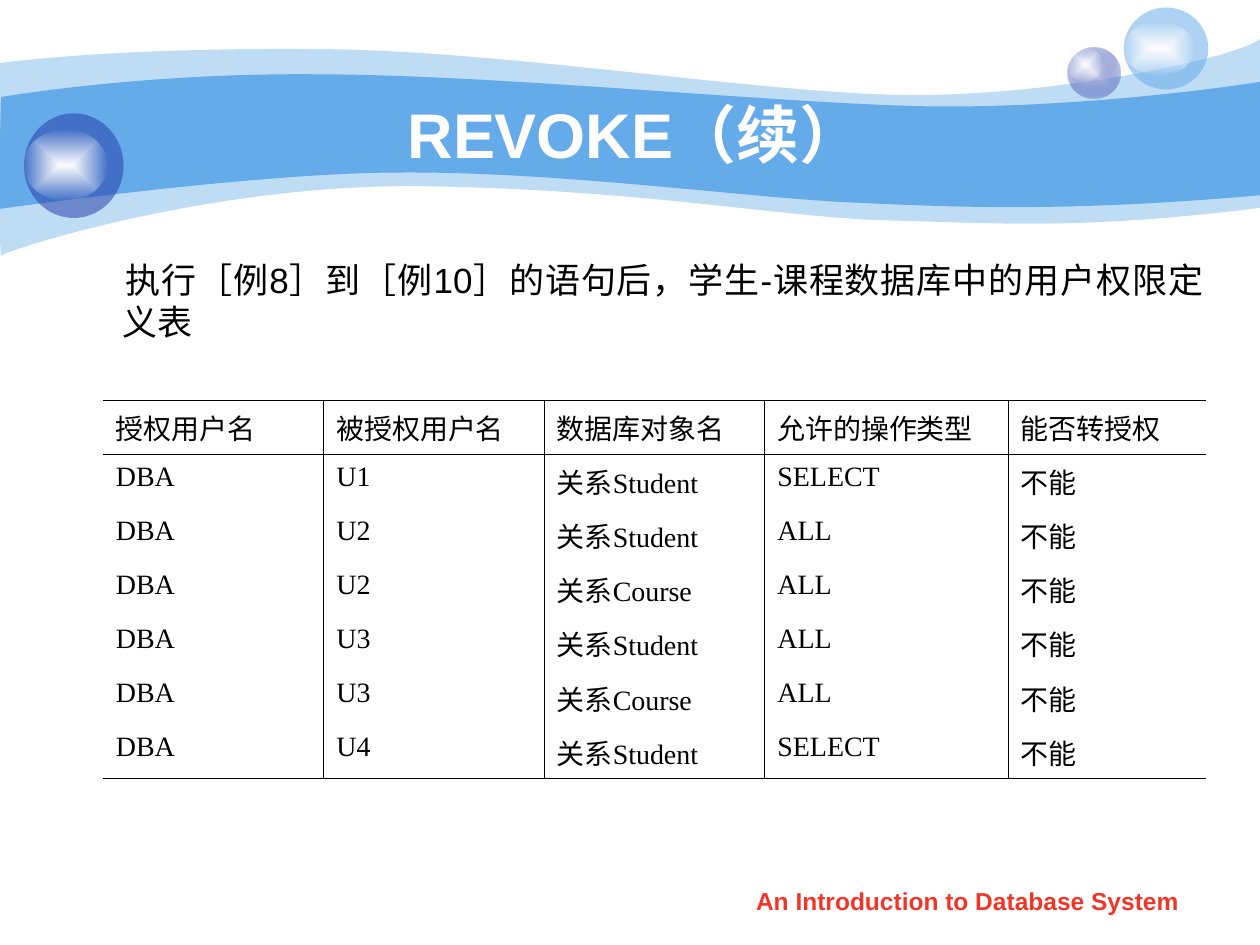
from lxml.etree import SubElement
from pptx import Presentation
from pptx.dml.color import RGBColor
from pptx.enum.shapes import MSO_SHAPE
from pptx.enum.text import MSO_ANCHOR, MSO_AUTO_SIZE, PP_ALIGN
from pptx.oxml.ns import qn
from pptx.util import Pt

EMU_PER_PX = 9144  # 100 px to the inch
COLORS = {
    "sky": "65AAE9", "navy": "233DA9", "lavender": "C7CEE9",
    "white": "FFFFFF", "black": "000000", "red": "F03628",
}

# Each wave: start point, then segments of three Bezier points or one line end.
PALE_WAVE = [
    (0, 50),
    [(24, 47), (107, 38), (247, 39)], [(386, 39), (575, 70), (699, 75)],
    [(822, 80), (980, 47), (1000, 31)], [(1000, 165)],
    [(858, 183), (787, 177), (705, 175)], [(622, 173), (515, 151), (343, 148)],
    [(172, 144), (4, 199), (1, 203)], [(-1, 208), (0, 75), (0, 50)],
]
BLUE_WAVE = [
    (1, 77),
    [(2, 77), (110, 58), (248, 59)], [(386, 59), (595, 80), (718, 84)],
    [(841, 88), (976, 69), (1000, 65)], [(1000, 155)],
    [(853, 168), (765, 165), (682, 161)], [(599, 158), (447, 136), (317, 137)],
    [(203, 137), (-2, 166), (-1, 166)], [(0, 166), (0, 77), (1, 77)],
]
# Each orb: body box, highlight box, body gradient stops (colour, opacity %).
ORBS = [
    ((847, 38, 42, 40), (847, 38, 28, 27), [("lavender", 100), ("navy", 31)]),
    ((892, 6, 67, 65), (892, 17, 56, 43), [("sky", 53)]),
    ((19, 90, 79, 83), (19, 103, 66, 56), [("navy", 53)]),
]
HIGHLIGHT = [("white", 100), ("white", 0)]

COLUMN_WIDTHS = [175, 175, 175, 193, 157]
ROW_HEIGHTS = [43] * 6 + [39]
HEADINGS = ["授权用户名", "被授权用户名", "数据库对象名", "允许的操作类型", "能否转授权"]
GRANTS = [
    ("U1", "Student", "SELECT"), ("U2", "Student", "ALL"),
    ("U2", "Course", "ALL"), ("U3", "Student", "ALL"),
    ("U3", "Course", "ALL"), ("U4", "Student", "SELECT"),
]


def px(*lengths):
    return [round(length * EMU_PER_PX) for length in lengths]


def rgb(name):
    return RGBColor.from_string(COLORS[name])


def add_color(parent, name, opacity=100):
    color = SubElement(parent, qn("a:srgbClr"), val=COLORS[name])
    if opacity < 100:
        SubElement(color, qn("a:alpha"), val=str(opacity * 1000))


def paint(shape, stops):
    """Fill with one colour, or with a gradient that runs from the centre out."""
    shape.shadow.inherit = False
    shape.line.fill.background()
    shape.fill.background()
    parent = shape.element.spPr
    old_fill = parent.find(qn("a:noFill"))
    if len(stops) == 1:
        fill = SubElement(parent, qn("a:solidFill"))
        add_color(fill, *stops[0])
    else:
        fill = SubElement(parent, qn("a:gradFill"), rotWithShape="1")
        stop_list = SubElement(fill, qn("a:gsLst"))
        for place, stop in zip(("0", "100000"), stops):
            add_color(SubElement(stop_list, qn("a:gs"), pos=place), *stop)
        path_fill = SubElement(fill, qn("a:path"), path="rect")
        SubElement(path_fill, qn("a:fillToRect"),
                   l="50000", t="50000", r="50000", b="50000")
    parent.replace(old_fill, fill)


def bend_segments(shape, segments):
    """Turn each run of three lines into the Bezier with the same points."""
    lines = iter(list(shape.element.iter(qn("a:lnTo"))))
    for segment in segments:
        segment_lines = [next(lines) for _ in segment]
        if len(segment) == 3:
            outline = segment_lines[0].getparent()
            curve = SubElement(outline, qn("a:cubicBezTo"))
            segment_lines[0].addprevious(curve)
            for line in segment_lines:
                curve.append(line[0])
                outline.remove(line)


def add_wave(slide, left, top, outline, opacity):
    (start_x, start_y), *segments = outline
    builder = slide.shapes.build_freeform(*px(left + start_x, top + start_y))
    builder.add_line_segments(
        [px(left + x, top + y) for segment in segments for x, y in segment])
    wave = builder.convert_to_shape()
    bend_segments(wave, segments)
    paint(wave, [("sky", opacity)])


def add_banner(slide, left, top):
    add_wave(slide, left, top, PALE_WAVE, 41)
    add_wave(slide, left, top, BLUE_WAVE, 100)
    for body_box, highlight_box, body_stops in ORBS:
        group = slide.shapes.add_group_shape()
        for (x, y, width, height), stops in (
                (body_box, body_stops), (highlight_box, HIGHLIGHT)):
            oval = group.shapes.add_shape(
                MSO_SHAPE.OVAL, *px(left + x, top + y, width, height))
            paint(oval, stops)


def write(text_frame, text, size, color, alignment=None, bold=False, font="Arial"):
    text_frame.text = text
    paragraph = text_frame.paragraphs[0]
    paragraph.alignment = alignment
    paragraph.font.name = font
    paragraph.font.size = Pt(size)
    paragraph.font.bold = bold
    paragraph.font.color.rgb = rgb(color)
    return paragraph


def set_indent(paragraph, margin, first_line):
    properties = paragraph._p.get_or_add_pPr()
    properties.set("marL", str(Pt(margin)))
    properties.set("indent", str(Pt(first_line)))
    return properties


def place_placeholder(slide, shape, left, top, width, height):
    slide.shapes.element.append(shape.element)  # in front of the banner
    shape.left, shape.top, shape.width, shape.height = px(left, top, width, height)
    shape.text_frame.word_wrap = True
    shape.text_frame.auto_size = MSO_AUTO_SIZE.NONE


def add_footer(slide, left, top, width, height):
    footer = slide.shapes.add_textbox(*px(left, top, width, height))
    footer.text_frame.word_wrap = True
    write(footer.text_frame, "An Introduction to Database System", 14, "red",
          PP_ALIGN.CENTER, bold=True)


def fill_title(slide, *box):
    title = slide.shapes.title
    place_placeholder(slide, title, *box)
    title.text_frame.vertical_anchor = MSO_ANCHOR.MIDDLE
    write(title.text_frame, "REVOKE（续）", 36, "white", PP_ALIGN.CENTER, bold=True)


def fill_body(slide, *box):
    body = slide.placeholders[1]
    place_placeholder(slide, body, *box)
    paragraph = write(
        body.text_frame,
        "执行［例8］到［例10］的语句后，学生-课程数据库中的用户权限定义表",
        20, "black", PP_ALIGN.JUSTIFY)
    paragraph.space_before = Pt(9)
    SubElement(set_indent(paragraph, 27, 1.5), qn("a:buNone"))


def set_borders(cell, visible):
    properties = cell._tc.get_or_add_tcPr()
    for side in "LRTB":
        line = SubElement(properties, qn(f"a:ln{side}"), w=str(Pt(0.45)))
        if side in visible:
            add_color(SubElement(line, qn("a:solidFill")), "black")
        else:
            SubElement(line, qn("a:noFill"))


def add_grant_table(slide, left, top):
    rows = [HEADINGS] + [("DBA", user, f"关系{relation}", right, "不能")
                         for user, relation, right in GRANTS]
    last_row, last_column = len(rows) - 1, len(HEADINGS) - 1
    table = slide.shapes.add_table(
        len(rows), len(HEADINGS),
        *px(left, top, sum(COLUMN_WIDTHS), sum(ROW_HEIGHTS))).table
    table.first_row = table.horz_banding = False
    for column, width in zip(table.columns, COLUMN_WIDTHS):
        column.width = px(width)[0]
    for row_index, values in enumerate(rows):
        table.rows[row_index].height = px(ROW_HEIGHTS[row_index])[0]
        for column_index, value in enumerate(values):
            cell = table.cell(row_index, column_index)
            paragraph = write(cell.text_frame, value, 16, "black",
                              font="Times New Roman")
            set_indent(paragraph, 27, -27)
            visible = {
                "L": column_index > 0, "R": column_index < last_column,
                "T": row_index < 2, "B": row_index in (0, last_row),
            }
            set_borders(cell, [side for side, shown in visible.items() if shown])
            cell.fill.background()


def main():
    presentation = Presentation()
    presentation.slide_width, presentation.slide_height = px(1000, 750)
    slide = presentation.slides.add_slide(presentation.slide_layouts[1])
    add_banner(slide, 0, 0)
    add_footer(slide, 571, 698, 394, 35)
    fill_title(slide, 100, 75, 808, 62)
    fill_body(slide, 50, 200, 915, 120)
    add_grant_table(slide, 82, 318)
    presentation.save("out.pptx")


if __name__ == "__main__":
    main()
